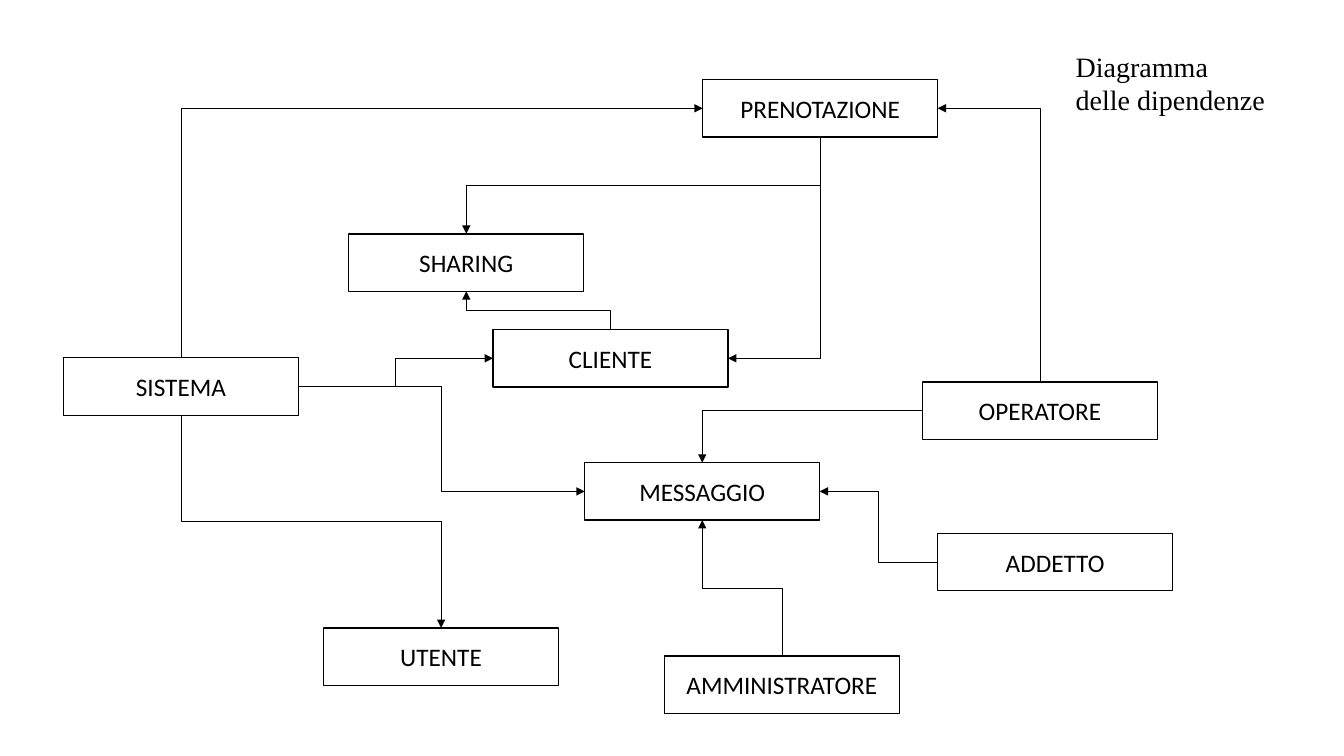
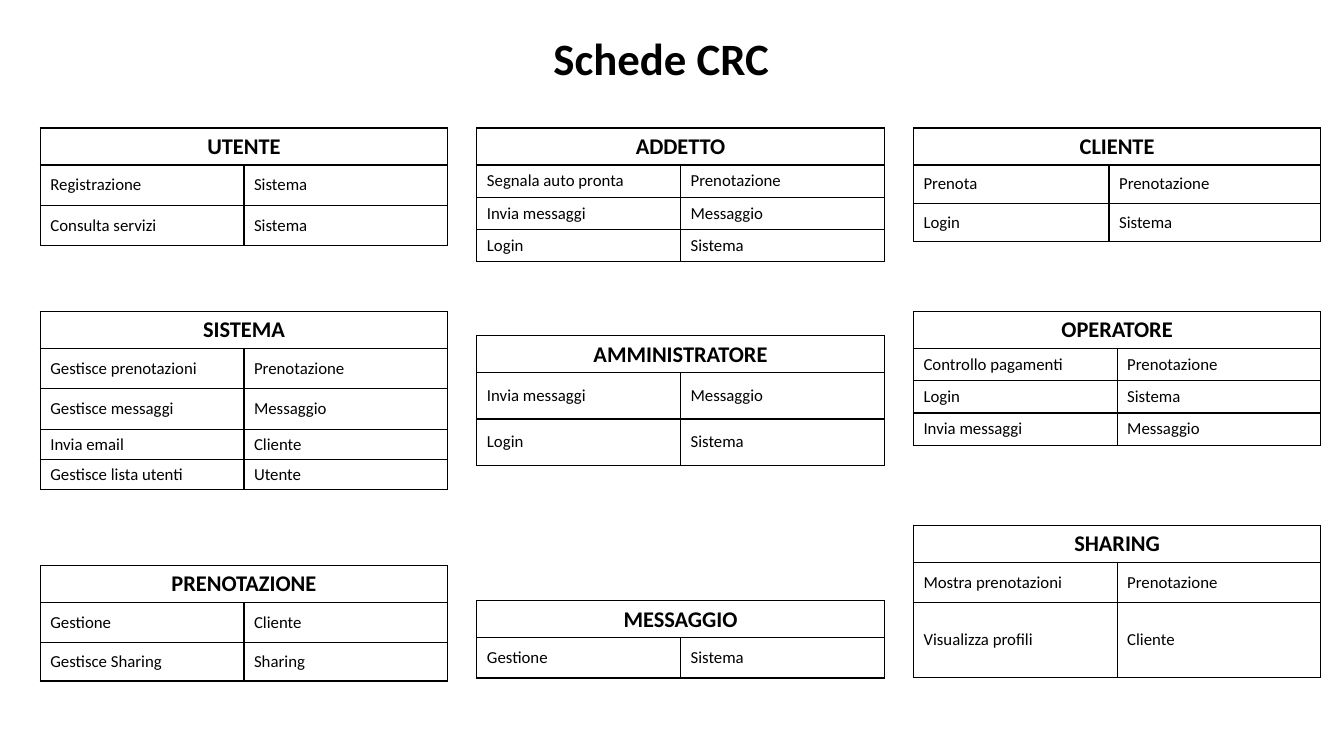
from dataclasses import dataclass

from lxml import etree
from pptx import Presentation
from pptx import util as u
from pptx.dml.color import RGBColor
from pptx.enum import shapes, text
from pptx.oxml.ns import qn


@dataclass(frozen=True)
class Theme:
    ink: RGBColor = RGBColor(0, 0, 0)
    sans: str = "Calibri"
    serif: str = "Times New Roman"
    title: int = 32
    note: int = 20
    node: int = 18
    head: int = 16
    body: int = 12
    edge: float = 1
    wire: float = 0.5


T = Theme()
TOP, LEFT, BASE, RIGHT = range(4)  # connection sites of a rectangle


# Shared helpers
def write(par, words, size, font=T.sans, bold=False, align=None):
    par.alignment = align
    run = par.add_run()
    run.text = words
    run.font.size = u.Pt(size)
    run.font.name = font
    run.font.bold = bold
    run.font.color.rgb = T.ink


def label(slide, box, lines, size, font=T.sans, bold=False):
    frame = slide.shapes.add_textbox(*map(u.Inches, box)).text_frame
    frame.word_wrap = True
    frame.auto_size = text.MSO_AUTO_SIZE.SHAPE_TO_FIT_TEXT
    for i, line in enumerate(lines):
        par = frame.add_paragraph() if i else frame.paragraphs[0]
        write(par, line, size, font, bold)


# Dependency diagram
def node(slide, name, x, y, w=2.33, h=0.57):
    box = slide.shapes.add_shape(
        shapes.MSO_SHAPE.RECTANGLE, *map(u.Inches, (x, y, w, h)))
    box.shadow.inherit = False
    box.fill.background()
    box.line.color.rgb = T.ink
    box.line.width = u.Pt(T.edge)
    frame = box.text_frame
    frame.vertical_anchor = text.MSO_ANCHOR.MIDDLE
    write(frame.paragraphs[0], name, T.node, align=text.PP_ALIGN.CENTER)
    return box


def site(box, side):
    dx, dy = {TOP: (1, 0), LEFT: (0, 1), BASE: (1, 2), RIGHT: (2, 1)}[side]
    return box.left + box.width * dx // 2, box.top + box.height * dy // 2


def link(slide, start, out, end, into):
    (ax, ay), (bx, by) = site(start, out), site(end, into)
    line = slide.shapes.add_connector(
        shapes.MSO_CONNECTOR.ELBOW, ax, ay, bx, by)
    line.begin_connect(start, out)
    line.end_connect(end, into)
    line.line.color.rgb = T.ink
    line.line.width = u.Pt(T.wire)

    # Turn the elbow so that it leaves along the starting side
    wide, high = abs(bx - ax), abs(by - ay)
    right, up = bx > ax, by < ay
    if out in (TOP, BASE):
        wide, high = high, wide
        turn, flip = (90 if right == up else 270), (right, up)
    else:
        turn, flip = (0 if right else 180), (False, up == right)
    line.left, line.top = (ax + bx - wide) // 2, (ay + by - high) // 2
    line.width, line.height = wide, high
    props = line._element.spPr
    frame = props.find(qn("a:xfrm"))
    frame.set("rot", str(turn * 60000))
    for key, flag in zip(("flipH", "flipV"), flip):
        frame.set(key, str(int(flag)))
    bends = 3 if out % 2 == into % 2 else 2
    props.find(qn("a:prstGeom")).set("prst", f"bentConnector{bends}")

    # Arrowhead, no shadow
    etree.SubElement(props.find(qn("a:ln")), qn("a:tailEnd"), type="triangle")
    etree.SubElement(props, qn("a:effectLst"))


def diagram(slide, nodes, links):
    boxes = {name: node(slide, name, x, y) for name, x, y in nodes}
    label(slide, (10.57, 0.44, 2.47, 0.77),
          ("Diagramma", "delle dipendenze"), T.note, T.serif)
    for start, out, end, into in links:
        link(slide, boxes[start], out, boxes[end], into)


# CRC cards
def border(cell):
    props = cell._tc.get_or_add_tcPr()
    for side in "LRTB":
        line = etree.SubElement(
            props, qn(f"a:ln{side}"), w=str(u.Pt(T.edge)))
        fill = etree.SubElement(line, qn("a:solidFill"))
        etree.SubElement(fill, qn("a:srgbClr"), val=str(T.ink))
    cell.fill.background()


def card(slide, x, y, name, tall, duties, split=2.02, wide=4.04):
    grid = slide.shapes.add_table(
        len(tall), 2, *map(u.Inches, (x, y, wide, sum(tall)))).table
    grid.first_row = grid.horz_banding = False
    for col, size in zip(grid.columns, (split, wide - split)):
        col.width = u.Inches(size)
    for row, size in zip(grid.rows, tall):
        row.height = u.Inches(size)
    for cell in grid.iter_cells():
        border(cell)
        cell.vertical_anchor = text.MSO_ANCHOR.MIDDLE
    head = grid.cell(0, 0)
    head.merge(grid.cell(0, 1))
    write(head.text_frame.paragraphs[0], name, T.head, bold=True,
          align=text.PP_ALIGN.CENTER)
    for r, pair in enumerate(duties, 1):
        for c, words in enumerate(pair):
            write(grid.cell(r, c).text_frame.paragraphs[0], words, T.body)


def cards(slide, columns, left=0.4, step=4.33):
    label(slide, (5.39, 0.26, 2.55, 0.64), ("Schede CRC",), T.title, bold=True)
    for i, column in enumerate(columns):
        for item in column:
            card(slide, left + i * step, *item)


NODES = (
    ("SISTEMA", 0.63, 3.55), ("CLIENTE", 4.89, 3.27),
    ("ADDETTO", 9.3, 5.29), ("PRENOTAZIONE", 6.97, 0.79),
    ("AMMINISTRATORE", 6.59, 6.51), ("SHARING", 3.46, 2.32),
    ("OPERATORE", 9.15, 3.79), ("UTENTE", 3.21, 6.23),
    ("MESSAGGIO", 5.8, 4.59),
)
LINKS = (
    ("SISTEMA", BASE, "UTENTE", TOP),
    ("SISTEMA", TOP, "PRENOTAZIONE", LEFT),
    ("SISTEMA", RIGHT, "MESSAGGIO", LEFT),
    ("SISTEMA", RIGHT, "CLIENTE", LEFT),
    ("PRENOTAZIONE", BASE, "SHARING", TOP),
    ("PRENOTAZIONE", BASE, "CLIENTE", RIGHT),
    ("AMMINISTRATORE", TOP, "MESSAGGIO", BASE),
    ("OPERATORE", LEFT, "MESSAGGIO", TOP),
    ("ADDETTO", LEFT, "MESSAGGIO", RIGHT),
    ("OPERATORE", TOP, "PRENOTAZIONE", RIGHT),
    ("CLIENTE", TOP, "SHARING", BASE),
)
# Each card: top, name, row heights, duties with their partner
COLUMNS = (
    (
        (1.27, "UTENTE", (0.23, 0.4, 0.4),
         (("Registrazione", "Sistema"), ("Consulta servizi", "Sistema"))),
        (3.09, "SISTEMA", (0.23, 0.4, 0.4, 0.23, 0.23),
         (("Gestisce prenotazioni", "Prenotazione"),
          ("Gestisce messaggi", "Messaggio"),
          ("Invia email", "Cliente"), ("Gestisce lista utenti", "Utente"))),
        (5.61, "PRENOTAZIONE", (0.23, 0.4, 0.38),
         (("Gestione", "Cliente"), ("Gestisce Sharing", "Sharing"))),
    ),
    (
        (1.27, "ADDETTO", (0.29, 0.32, 0.32, 0.32),
         (("Segnala auto pronta", "Prenotazione"),
          ("Invia messaggi", "Messaggio"), ("Login", "Sistema"))),
        (3.33, "AMMINISTRATORE", (0.3, 0.46, 0.46),
         (("Invia messaggi", "Messaggio"), ("Login", "Sistema"))),
        (5.96, "MESSAGGIO", (0.23, 0.4), (("Gestione", "Sistema"),)),
    ),
    (
        (1.27, "CLIENTE", (0.35, 0.38, 0.38),
         (("Prenota", "Prenotazione"), ("Login", "Sistema")), 1.94),
        (3.09, "OPERATORE", (0.29, 0.32, 0.32, 0.32),
         (("Controllo pagamenti", "Prenotazione"),
          ("Login", "Sistema"), ("Invia messaggi", "Messaggio"))),
        (5.21, "SHARING", (0.37, 0.4, 0.74),
         (("Mostra prenotazioni", "Prenotazione"),
          ("Visualizza profili", "Cliente"))),
    ),
)

deck = Presentation()
deck.slide_width, deck.slide_height = u.Inches(13.33), u.Inches(7.5)
blank = deck.slide_layouts[6]
diagram(deck.slides.add_slide(blank), NODES, LINKS)
cards(deck.slides.add_slide(blank), COLUMNS)
deck.save("out.pptx")
